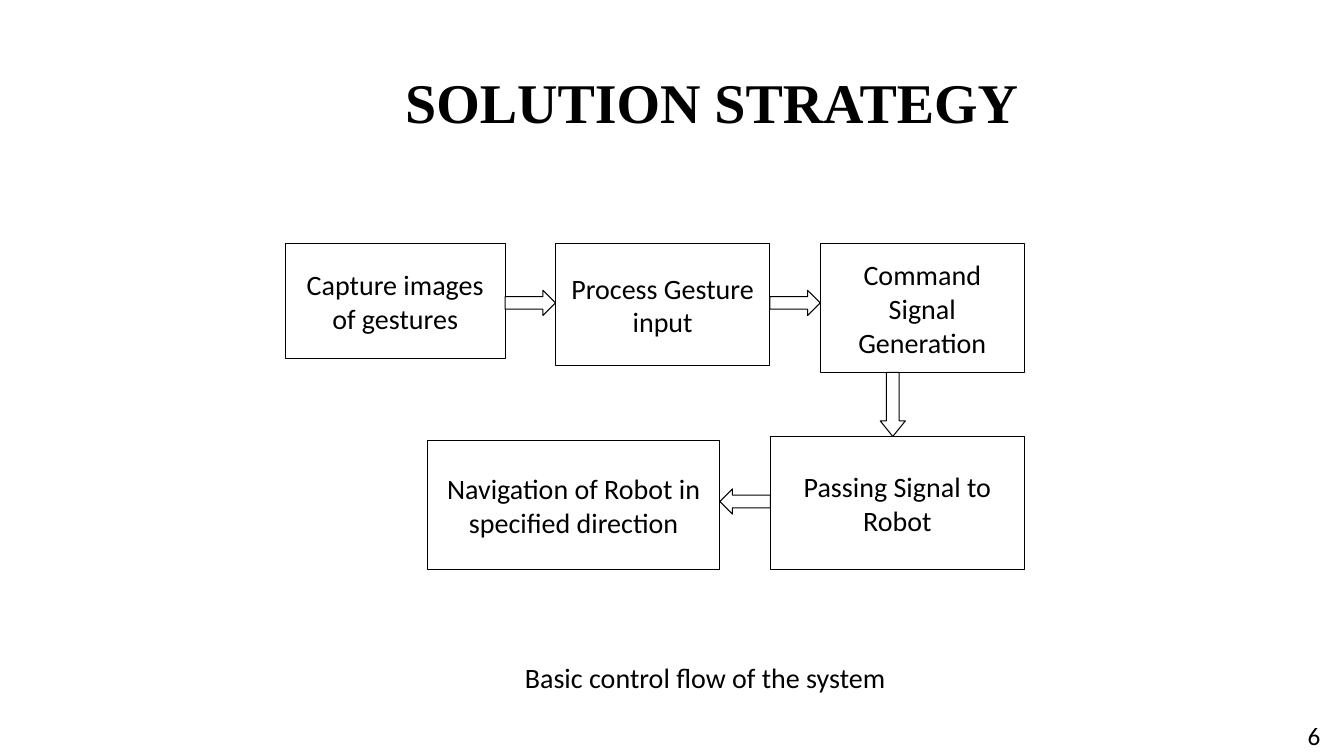
import pptx
import pptx.util
import pptx.dml.color
import pptx.enum.shapes
import pptx.enum.text

COLORS = {"paper": "FFFFFF", "ink": "000000"}
SHAPES = pptx.enum.shapes.MSO_SHAPE
ALIGN = pptx.enum.text.PP_ALIGN
ANCHOR = pptx.enum.text.MSO_ANCHOR
CELL = 0.25  # inches per grid column and row
GAP = 2
ARROW_WIDTH = 1


class FlowSlide:
    def __init__(self, presentation):
        self.slide = presentation.slides.add_slide(presentation.slide_layouts[6])
        self.font = "Calibri"
        self.size = 20

    def color(self, name):
        return pptx.dml.color.RGBColor.from_string(COLORS[name])

    def cells(self, *counts):
        return [pptx.util.Inches(count * CELL) for count in counts]

    def set_text(self, text_frame, text, align, size=None, font=None, bold=False):
        text_frame.word_wrap = True
        text_frame.text = text
        paragraph = text_frame.paragraphs[0]
        paragraph.alignment = align
        run_font = paragraph.runs[0].font
        run_font.name = font or self.font
        run_font.size = pptx.util.Pt(size or self.size)
        run_font.bold = bold
        run_font.color.rgb = self.color("ink")
        return paragraph

    def outlined(self, kind, left, top, width, height):
        shape = self.slide.shapes.add_shape(
            kind, *self.cells(left, top, width, height))
        shape.shadow.inherit = False
        shape.fill.solid()
        shape.fill.fore_color.rgb = self.color("paper")
        shape.line.color.rgb = self.color("ink")
        shape.line.width = pptx.util.Pt(0.75)
        return shape

    def step(self, text, left, top, width, height):
        shape = self.outlined(SHAPES.RECTANGLE, left, top, width, height)
        shape.text_frame.vertical_anchor = ANCHOR.MIDDLE
        paragraph = self.set_text(shape.text_frame, text, ALIGN.CENTER)
        paragraph.space_after = pptx.util.Pt(10)

    def across(self, kind, left, middle):
        """Fill the gap between two steps with a sideways arrow."""
        self.outlined(kind, left, middle - ARROW_WIDTH / 2, GAP, ARROW_WIDTH)

    def down(self, center, top, bottom):
        arrow = self.outlined(SHAPES.DOWN_ARROW, center - ARROW_WIDTH / 2, top,
                              ARROW_WIDTH, bottom - top)
        arrow.adjustments[1] = 0.62

    def label(self, text, left, top, width, height, align=ALIGN.LEFT, **style):
        box = self.slide.shapes.add_textbox(
            *self.cells(left, top, width, height))
        self.set_text(box.text_frame, text, align, **style)


def main():
    presentation = pptx.Presentation()
    presentation.slide_width = pptx.util.Inches(13.33)
    presentation.slide_height = pptx.util.Inches(7.5)
    flow = FlowSlide(presentation)

    flow.label("SOLUTION STRATEGY", 15.68, 2.48, 25.56, 3.08,
               size=40, font="Times New Roman", bold=True)

    # The upper row runs rightwards from a shared top edge.
    upper_steps = [
        ("Capture images of gestures", 8.72, 4.56),
        ("Process Gesture input", 8.5, 4.84),
        ("Command Signal Generation", 8.1, 5.1),
    ]
    upper_top, left = 9.68, 11.32
    for index, (text, width, height) in enumerate(upper_steps):
        if index:
            flow.across(SHAPES.RIGHT_ARROW, left - GAP, 12.02)
        flow.step(text, left, upper_top, width, height)
        left += width + GAP
    right_edge = left - GAP

    # The lower row runs leftwards on a shared bottom edge.
    lower_steps = [
        ("Passing Signal to Robot", 10.08, 5.28),
        ("Navigation of Robot in specified direction", 11.6, 5.12),
    ]
    lower_bottom, right = 22.6, right_edge
    for index, (text, width, height) in enumerate(lower_steps):
        if index:
            flow.across(SHAPES.LEFT_ARROW, right, 19.9)
        flow.step(text, right - width, lower_bottom - height, width, height)
        right -= width + GAP

    flow.down(35.42, upper_top + upper_steps[-1][2],
              lower_bottom - lower_steps[0][2])

    flow.label("Basic control flow of the system", 20.04, 26, 15.88, 1.76,
               ALIGN.CENTER)
    flow.label("6", 51.48, 28.4, 1.84, 1.6, size=18)
    presentation.save("out.pptx")


if __name__ == "__main__":
    main()
